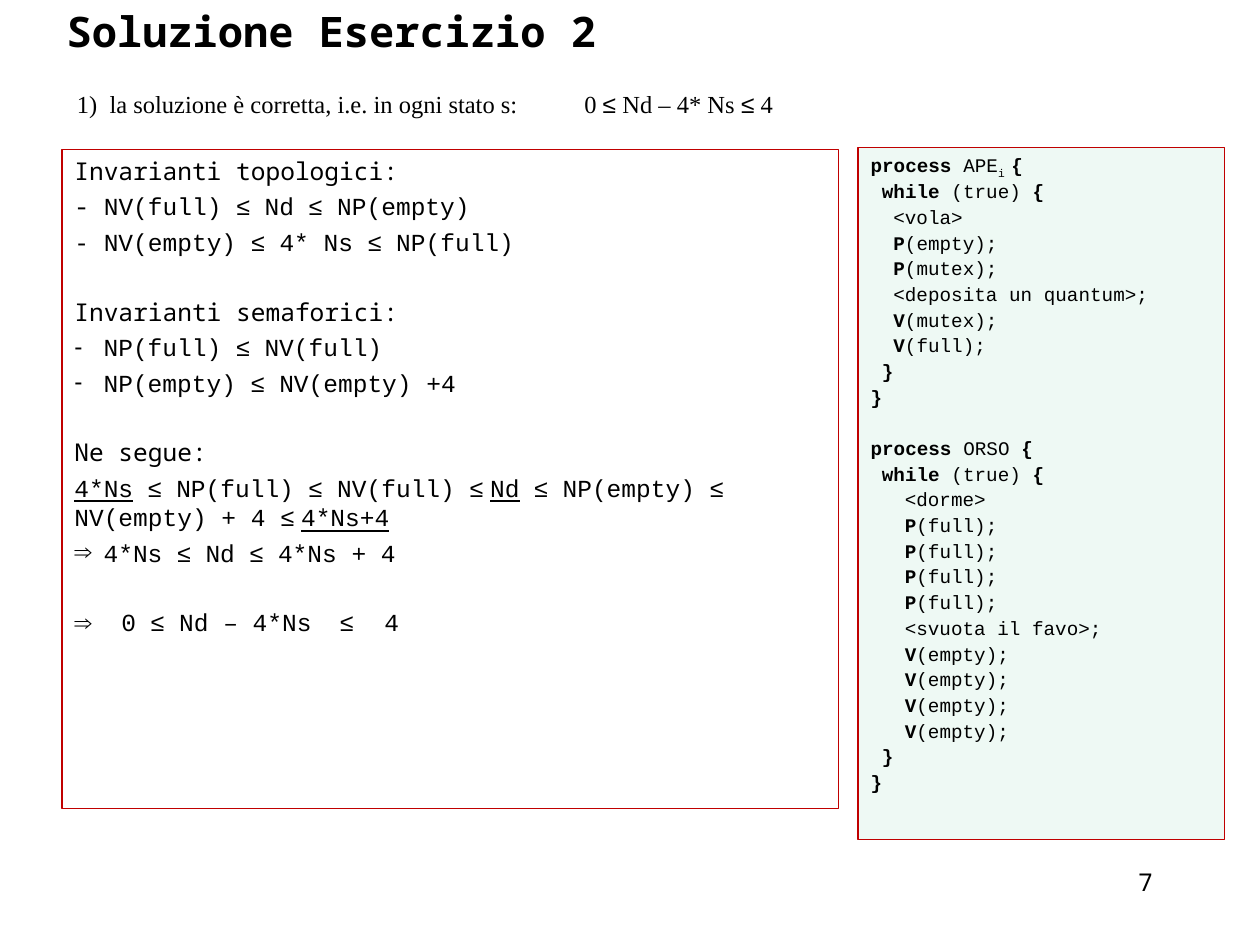
from dataclasses import dataclass

from lxml import etree
from pptx import Presentation
from pptx.dml.color import RGBColor
from pptx.enum.shapes import MSO_SHAPE
from pptx.enum.text import MSO_ANCHOR, MSO_AUTO_SIZE, PP_ALIGN
from pptx.oxml.ns import qn
from pptx.util import Cm, Pt

RECTANGLE = MSO_SHAPE.RECTANGLE
TOP, MIDDLE = MSO_ANCHOR.TOP, MSO_ANCHOR.MIDDLE
LEFT, RIGHT = PP_ALIGN.LEFT, PP_ALIGN.RIGHT
NO_AUTOFIT = MSO_AUTO_SIZE.NONE
COURIER, ARIAL, NOTO, TIMES = "Courier New", "Arial", "Noto Sans Mono", "Times New Roman"
BLACK, RED, WHITE, MINT = "000000", "C00000", "FFFFFF", "EEF9F4"
TITLE_ONLY = 5
CODE_INDENT = 0.23


@dataclass
class Span:
    text: str
    font: str = COURIER
    bold: bool = False
    underline: bool = False
    subscript: bool = False


@dataclass
class Line:
    spans: list[Span]
    before: float = 0
    bullet: str = ""
    margin: float = 0
    spacing: float = 1.0
    tabs: tuple[float, ...] = ()
    align: PP_ALIGN = LEFT


@dataclass
class Box:
    left: float
    top: float
    width: float
    height: float


def color(value: str) -> RGBColor:
    return RGBColor.from_string(value)


def add_bullet(paragraph, bullet: str) -> None:
    properties = paragraph._p.get_or_add_pPr()
    properties.set("indent", str(-Cm(0.59)))
    bullet_color = etree.SubElement(properties, qn("a:buClr"))
    etree.SubElement(bullet_color, qn("a:srgbClr"), val=BLACK)
    etree.SubElement(properties, qn("a:buFont"), typeface=ARIAL)
    etree.SubElement(properties, qn("a:buChar"), char=bullet)


def add_tabs(paragraph, stops: tuple[float, ...]) -> None:
    tab_list = etree.SubElement(paragraph._p.get_or_add_pPr(), qn("a:tabLst"))
    for stop in stops:
        etree.SubElement(tab_list, qn("a:tab"), pos=str(Cm(stop)), algn="l")


def write_lines(frame, lines: list[Line], size: float, anchor: MSO_ANCHOR = TOP) -> None:
    frame.word_wrap = True
    frame.auto_size = NO_AUTOFIT
    frame.vertical_anchor = anchor
    for index, line in enumerate(lines):
        paragraph = frame.add_paragraph() if index else frame.paragraphs[0]
        paragraph.alignment = line.align
        paragraph.line_spacing = line.spacing
        paragraph.space_before = Pt(line.before)
        paragraph._p.get_or_add_pPr().set("marL", str(Cm(line.margin)))
        if line.bullet:
            add_bullet(paragraph, line.bullet)
        if line.tabs:
            add_tabs(paragraph, line.tabs)
        for span in line.spans:
            run = paragraph.add_run()
            run.text = span.text
            run.font.name = span.font
            run.font.size = Pt(size)
            run.font.bold = span.bold
            run.font.underline = span.underline
            run.font.color.rgb = color(BLACK)
            if span.subscript:
                run._r.get_or_add_rPr().set("baseline", "-25000")


def place(shape, box: Box) -> None:
    shape.left, shape.top = Cm(box.left), Cm(box.top)
    shape.width, shape.height = Cm(box.width), Cm(box.height)


def add_panel(slide, box: Box, fill: str, lines: list[Line], size: float) -> None:
    panel = slide.shapes.add_shape(
        RECTANGLE, Cm(box.left), Cm(box.top), Cm(box.width), Cm(box.height))
    panel.shadow.inherit = False
    panel.fill.solid()
    panel.fill.fore_color.rgb = color(fill)
    panel.line.color.rgb = color(RED)
    panel.line.width = Pt(0.75)
    write_lines(panel.text_frame, lines, size)


def add_label(slide, box: Box, line: Line, size: float) -> None:
    label = slide.shapes.add_textbox(
        Cm(box.left), Cm(box.top), Cm(box.width), Cm(box.height))
    write_lines(label.text_frame, [line], size)


def relation(text: str, font: str = COURIER) -> list[Span]:
    terms = text.split("≤")
    spans = [Span(terms[0], font)]
    for term in terms[1:]:
        spans += [Span("≤", ARIAL)] + ([Span(term, font)] if term else [])
    return spans


def heading(text: str, before: float = 3.5) -> Line:
    return Line([Span(text, NOTO)], before)


def item(text: str, bullet: str) -> Line:
    return Line(relation(text), 3.5, bullet, 0.59)


def code(depth: int, keyword: str, rest: str = "", brace: str = "", before: float = 2.8) -> Line:
    spans = [Span(keyword, bold=True), Span(rest), Span(brace, bold=True)]
    return Line([span for span in spans if span.text], before,
                margin=depth * CODE_INDENT, spacing=0.9)


def calls(depth: int, operation: str, semaphore: str, count: int = 1) -> list[Line]:
    return [code(depth, operation, f"({semaphore});") for _ in range(count)]


def closing() -> list[Line]:
    return [code(1, "}"), code(0, "}")]


CHAIN = [
    Span("4*Ns", underline=True),
    *relation(" ≤ NP(full) ≤ NV(full) ≤"), Span(" ", ARIAL),
    Span("Nd", underline=True),
    *relation(" ≤ NP(empty) ≤ NV(empty) + 4 ≤"), Span(" ", ARIAL),
    Span("4*Ns+4", underline=True),
]

PROOF = [
    heading("Invarianti topologici:"),
    Line([Span("- ", NOTO), *relation("NV(full) ≤ Nd ≤ NP(empty)")], 3.5),
    Line(relation("- NV(empty) ≤ 4* Ns ≤ NP(full)"), 3.5),
    heading("Invarianti semaforici:", 23),
    item("NP(full) ≤ NV(full)", "-"),
    item("NP(empty) ≤ NV(empty) +4", "-"),
    heading("Ne segue:", 23),
    Line(CHAIN, 3.5),
    item("4*Ns ≤ Nd ≤ 4*Ns + 4", "⇒"),
    Line([Span("⇒", ARIAL), *relation("\t0 ≤ Nd – 4*Ns\t≤\t4")], 23,
         tabs=(0.95, 5.36, 6.25)),
]

APE_HEADER = Line([Span("process ", bold=True), Span("APE"),
                   Span("i ", subscript=True), Span("{", bold=True)], 2.8, spacing=0.9)

PROCESSES = [
    APE_HEADER,
    code(1, "while ", "(true) ", "{"),
    code(2, "", "<vola>"),
    *calls(2, "P", "empty"),
    *calls(2, "P", "mutex"),
    code(2, "", "<deposita un quantum>;"),
    *calls(2, "V", "mutex"),
    *calls(2, "V", "full"),
    *closing(),
    code(0, "process ", "ORSO ", "{", before=17.4),
    code(1, "while ", "(true) ", "{"),
    code(3, "", "<dorme>"),
    *calls(3, "P", "full", 4),
    code(3, "", "<svuota il favo>;"),
    *calls(3, "V", "empty", 4),
    *closing(),
]

CLAIM = Line(relation("1)\tla soluzione è corretta, i.e. in ogni stato s:\t0 ≤ Nd – 4* Ns ≤ 4", TIMES),
             tabs=(0.66, 10.23))


def main() -> None:
    deck = Presentation()
    deck.slide_width, deck.slide_height = Cm(25.4), Cm(19.05)
    slide = deck.slides.add_slide(deck.slide_layouts[TITLE_ONLY])
    title = slide.shapes.title
    place(title, Box(1.09, 0, 21.92, 1.22))
    write_lines(title.text_frame, [Line([Span("Soluzione Esercizio 2", NOTO, bold=True)])], 24, MIDDLE)
    add_panel(slide, Box(1.25, 3.02, 15.65, 13.28), WHITE, PROOF, 14)
    add_panel(slide, Box(17.3, 2.97, 7.39, 13.95), MINT, PROCESSES, 11)
    add_label(slide, Box(18.21, 17.35, 5.28, 1.27), Line([Span("7", NOTO)], align=RIGHT), 14)
    add_label(slide, Box(1.3, 1.68, 18.8, 0.86), CLAIM, 14)
    deck.save("out.pptx")


if __name__ == "__main__":
    main()
